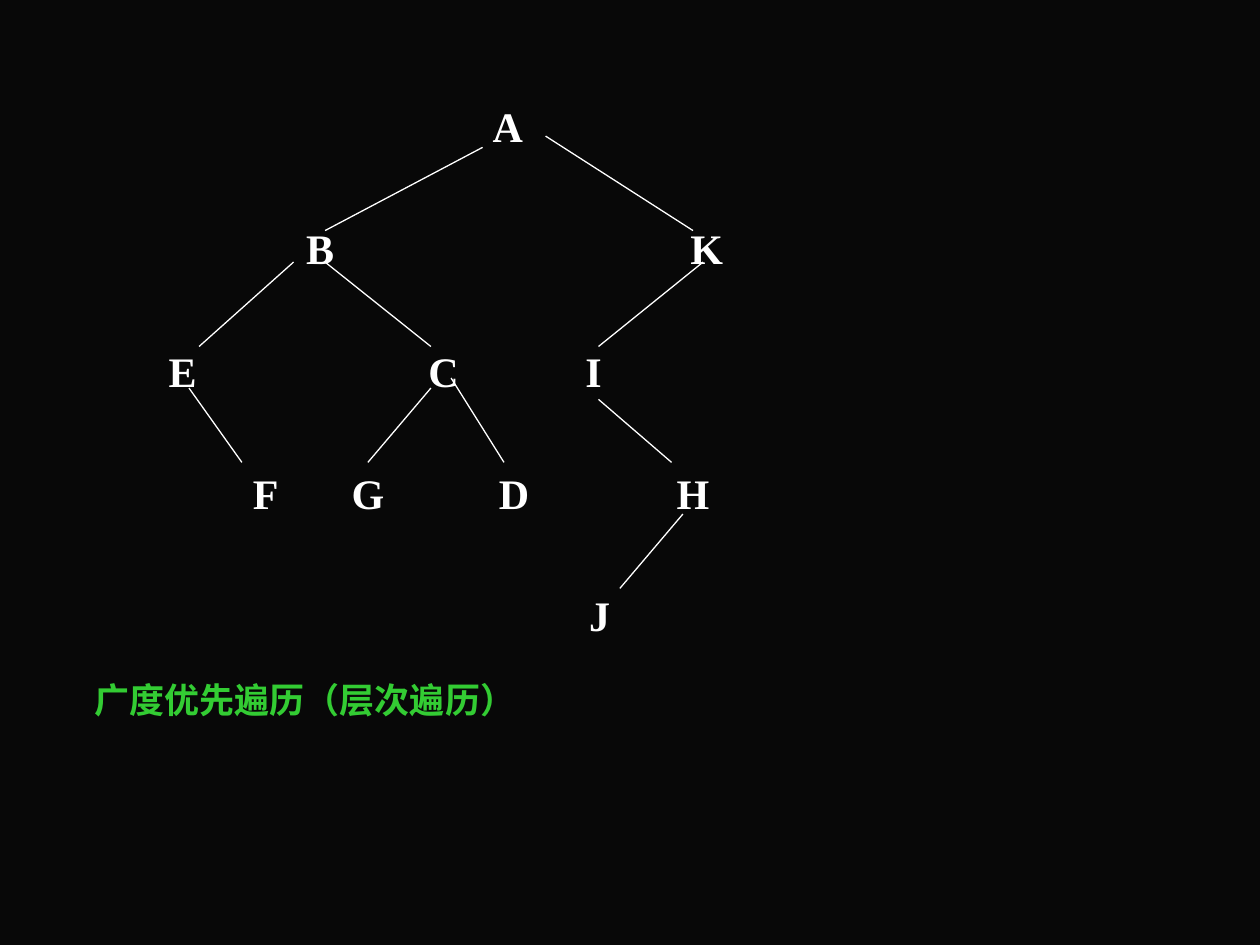
from lxml import etree
from pptx import Presentation
from pptx.dml.color import RGBColor
from pptx.enum.shapes import MSO_CONNECTOR
from pptx.enum.text import MSO_ANCHOR, PP_ALIGN
from pptx.oxml.ns import qn
from pptx.util import Inches, Pt

BLACK = RGBColor(0x08, 0x08, 0x08)
WHITE = RGBColor(0xFF, 0xFF, 0xFF)
GREEN = RGBColor(0x33, 0xCC, 0x33)
FONT = "Times New Roman"

prs = Presentation()
prs.slide_width, prs.slide_height = Inches(10), Inches(7.5)
slide = prs.slides.add_slide(prs.slide_layouts[6])
slide.background.fill.solid()
slide.background.fill.fore_color.rgb = BLACK


def add_label(text, left, top, width, height, size, color, align, inset=0):
    box = slide.shapes.add_textbox(Inches(left), Inches(top), Inches(width), Inches(height))
    frame = box.text_frame
    frame.word_wrap = True
    frame.vertical_anchor = MSO_ANCHOR.MIDDLE
    frame.margin_left = Inches(inset)
    frame.margin_right = frame.margin_top = frame.margin_bottom = 0
    paragraph = frame.paragraphs[0]
    paragraph.alignment = align
    run = paragraph.add_run()
    run.text = text
    run.font.name = FONT
    run.font.size = Pt(size)
    run.font.bold = True
    run.font.color.rgb = color


# Tree nodes: letter and centre x, level by level
levels = [
    [("A", 4.03)],
    [("B", 2.54), ("K", 5.61)],
    [("E", 1.45), ("C", 3.52), ("I", 4.71)],
    [("F", 2.11), ("G", 2.92), ("D", 4.08), ("H", 5.5)],
    [("J", 4.76)],
]
FIRST_LEVEL, LEVEL_STEP = 1.0, 0.97
NODE_SIZE = 0.4
for depth, nodes in enumerate(levels):
    top = FIRST_LEVEL + depth * LEVEL_STEP - NODE_SIZE / 2
    for letter, center in nodes:
        add_label(letter, center - NODE_SIZE / 2, top, NODE_SIZE, NODE_SIZE,
                  24, WHITE, PP_ALIGN.CENTER)

# Branches from parent to child
branches = [
    (3.83, 1.17, 2.58, 1.83),  # A-B
    (2.33, 2.08, 1.58, 2.75),  # B-E
    (2.58, 2.08, 3.42, 2.75),  # B-C
    (1.5, 3.08, 1.92, 3.67),   # E-F
    (3.42, 3.08, 2.92, 3.67),  # C-G
    (3.58, 3, 4, 3.67),        # C-D
    (4.33, 1.08, 5.5, 1.83),   # A-K
    (5.58, 2.08, 4.75, 2.75),  # K-I
    (4.75, 3.17, 5.33, 3.67),  # I-H
    (5.42, 4.08, 4.92, 4.67),  # H-J
]
for ends in branches:
    branch = slide.shapes.add_connector(MSO_CONNECTOR.STRAIGHT, *map(Inches, ends))
    branch.line.color.rgb = WHITE
    branch.line.width = Pt(0.75)
    etree.SubElement(branch._element.spPr, qn("a:effectLst"))

# Traversal caption
add_label("广度优先遍历（层次遍历）", 0.58, 5.33, 8.25, 0.44, 20, GREEN, PP_ALIGN.LEFT, inset=0.17)

prs.save("out.pptx")
